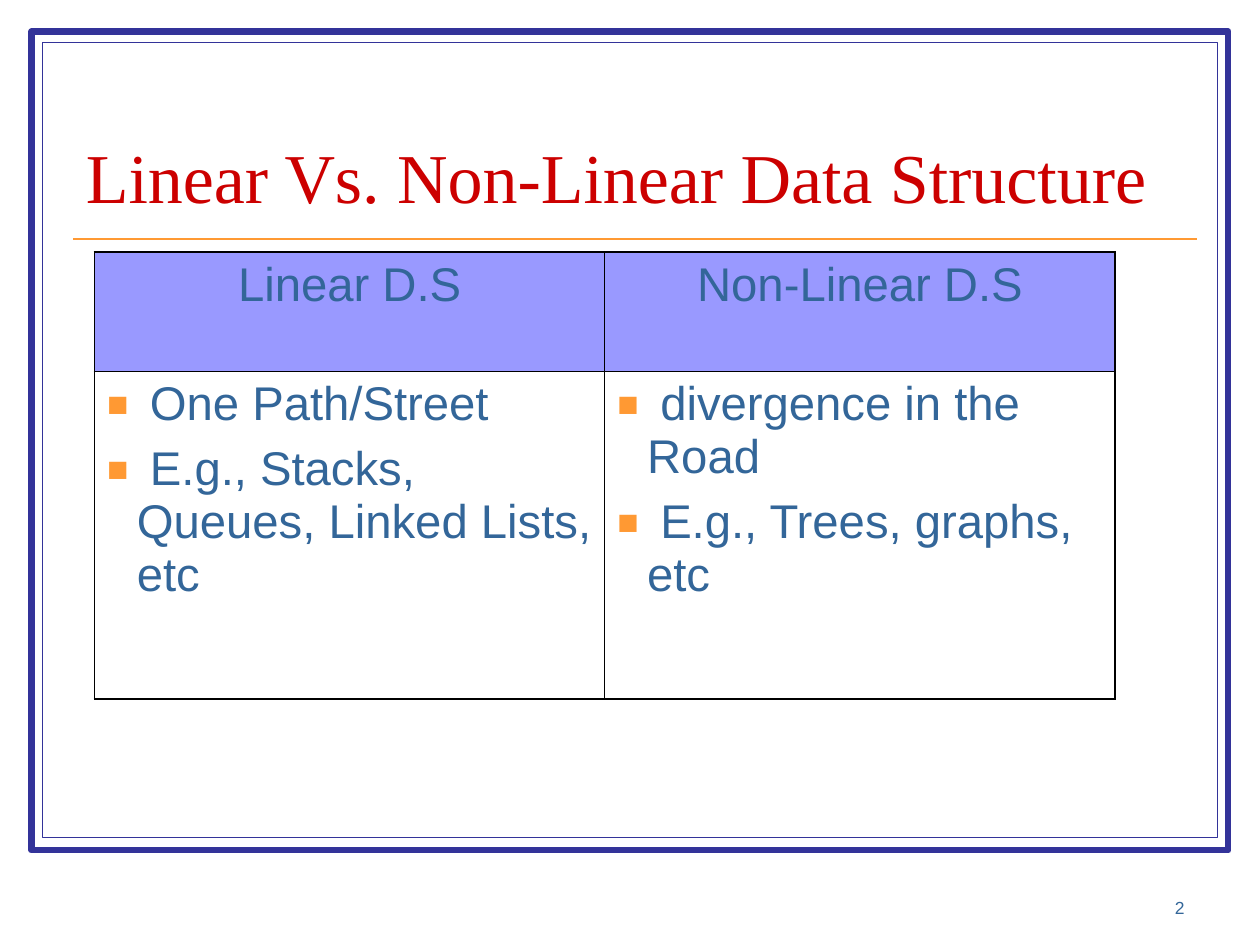
from dataclasses import dataclass

from lxml import etree
from pptx import Presentation
from pptx import util as u
from pptx.dml.color import RGBColor
from pptx.enum import shapes, text
from pptx.oxml import ns

NAVY, ORANGE, BLUE, RED = "333399", "FF9933", "336699", "CC0000"
LILAC, WHITE, BLACK = "9999FF", "FFFFFF", "000000"
OUTER_BORDER, INNER_BORDER = 1.08, 0.45
HANGING_INDENT = 17


@dataclass
class Frame:
    left: float
    top: float
    width: float
    height: float
    line_width: float


@dataclass
class Column:
    heading: str
    points: list[str]


FRAMES = [Frame(18, 18, 684, 468, 3.5), Frame(24.2, 24.2, 671.6, 454.6, 0.75)]
COLUMNS = [
    Column("Linear D.S", [" One Path/Street", " E.g., Stacks, Queues, Linked Lists, etc"]),
    Column("Non-Linear D.S", [" divergence in the Road", " E.g., Trees, graphs, etc"]),
]


def color(value: str) -> RGBColor:
    return RGBColor.from_string(value)


def add_child(parent, tag: str, **attributes):
    return etree.SubElement(parent, ns.qn(tag), {key: str(value) for key, value in attributes.items()})


def add_bullet(paragraph) -> None:
    properties = paragraph._p.get_or_add_pPr()
    properties.set("marL", str(u.Pt(HANGING_INDENT)))
    properties.set("indent", str(-u.Pt(HANGING_INDENT)))
    add_child(add_child(properties, "a:buClr"), "a:srgbClr", val=ORANGE)
    add_child(properties, "a:buSzPct", val=75000)
    add_child(properties, "a:buFont", typeface="Arial")
    add_child(properties, "a:buChar", char="■")


def write(frame, lines: list[str], *, size: float = 27, font: str = "Arial", fill: str = BLUE,
          align=text.PP_ALIGN.LEFT, spacing: float | None = None, bullet: bool = False) -> None:
    frame.word_wrap = True
    for index, line in enumerate(lines):
        paragraph = frame.add_paragraph() if index else frame.paragraphs[0]
        paragraph.alignment = align
        if spacing:
            paragraph.line_spacing = spacing
        if index:
            paragraph.space_before = u.Pt(6.8)
        if bullet:
            add_bullet(paragraph)
        run = paragraph.add_run()
        run.text = line
        run.font.size = u.Pt(size)
        run.font.name = font
        run.font.color.rgb = color(fill)


def add_text(slide, left: float, top: float, width: float, height: float, line: str, **style) -> None:
    frame = slide.shapes.add_textbox(*map(u.Pt, (left, top, width, height))).text_frame
    frame.vertical_anchor = text.MSO_ANCHOR.BOTTOM
    write(frame, [line], **style)


def add_frame(slide, frame: Frame) -> None:
    bounds = map(u.Pt, (frame.left, frame.top, frame.width, frame.height))
    shape = slide.shapes.add_shape(shapes.MSO_SHAPE.RECTANGLE, *bounds)
    shape.shadow.inherit = False
    shape.fill.solid()
    shape.fill.fore_color.rgb = color(WHITE)
    shape.line.color.rgb = color(NAVY)
    shape.line.width = u.Pt(frame.line_width)


def add_rule(slide, left: float, right: float, top: float) -> None:
    ends = map(u.Pt, (left, top, right, top))
    connector = slide.shapes.add_connector(shapes.MSO_CONNECTOR.STRAIGHT, *ends)
    connector.line.color.rgb = color(ORANGE)
    connector.line.width = u.Pt(1)
    add_child(connector._element.spPr, "a:effectLst")


def style_cell(cell, row: int, column: int) -> None:
    properties = cell._tc.get_or_add_tcPr()
    outer_edges = {"a:lnL": column == 0, "a:lnR": column == 1, "a:lnT": row == 0, "a:lnB": row == 1}
    for tag, is_outer in outer_edges.items():
        width = OUTER_BORDER if is_outer else INNER_BORDER
        border = add_child(properties, tag, w=u.Pt(width))
        add_child(add_child(border, "a:solidFill"), "a:srgbClr", val=BLACK)
    if row == 0:
        cell.fill.solid()
        cell.fill.fore_color.rgb = color(LILAC)
    else:
        cell.fill.background()


def add_comparison(slide, columns: list[Column]) -> None:
    bounds = map(u.Pt, (54, 144, 583.2, 255.6))
    table = slide.shapes.add_table(2, len(columns), *bounds).table
    table.first_row = table.horz_banding = False
    for row, height in zip(table.rows, (68.4, 187.2)):
        row.height = u.Pt(height)
    for index, column in enumerate(columns):
        table.columns[index].width = u.Pt(291.6)
        heading, body = table.cell(0, index), table.cell(1, index)
        write(heading.text_frame, [column.heading], align=text.PP_ALIGN.CENTER)
        write(body.text_frame, column.points, bullet=True)
        style_cell(heading, 0, index)
        style_cell(body, 1, index)


def main() -> None:
    """Build the slide comparing linear and non-linear data structures."""
    presentation = Presentation()
    presentation.slide_width, presentation.slide_height = u.Pt(720), u.Pt(540)
    slide = presentation.slides.add_slide(presentation.slide_layouts[6])
    for frame in FRAMES:
        add_frame(slide, frame)
    add_rule(slide, 42, 684, 136.5)
    add_text(slide, 534, 492, 150, 36, "2", size=10, align=text.PP_ALIGN.RIGHT)
    add_text(slide, 42, 37.5, 642, 90, "Linear Vs. Non-Linear Data Structure",
             size=40, font="Times New Roman", fill=RED, spacing=0.8)
    add_comparison(slide, COLUMNS)
    presentation.save("out.pptx")


if __name__ == "__main__":
    main()
